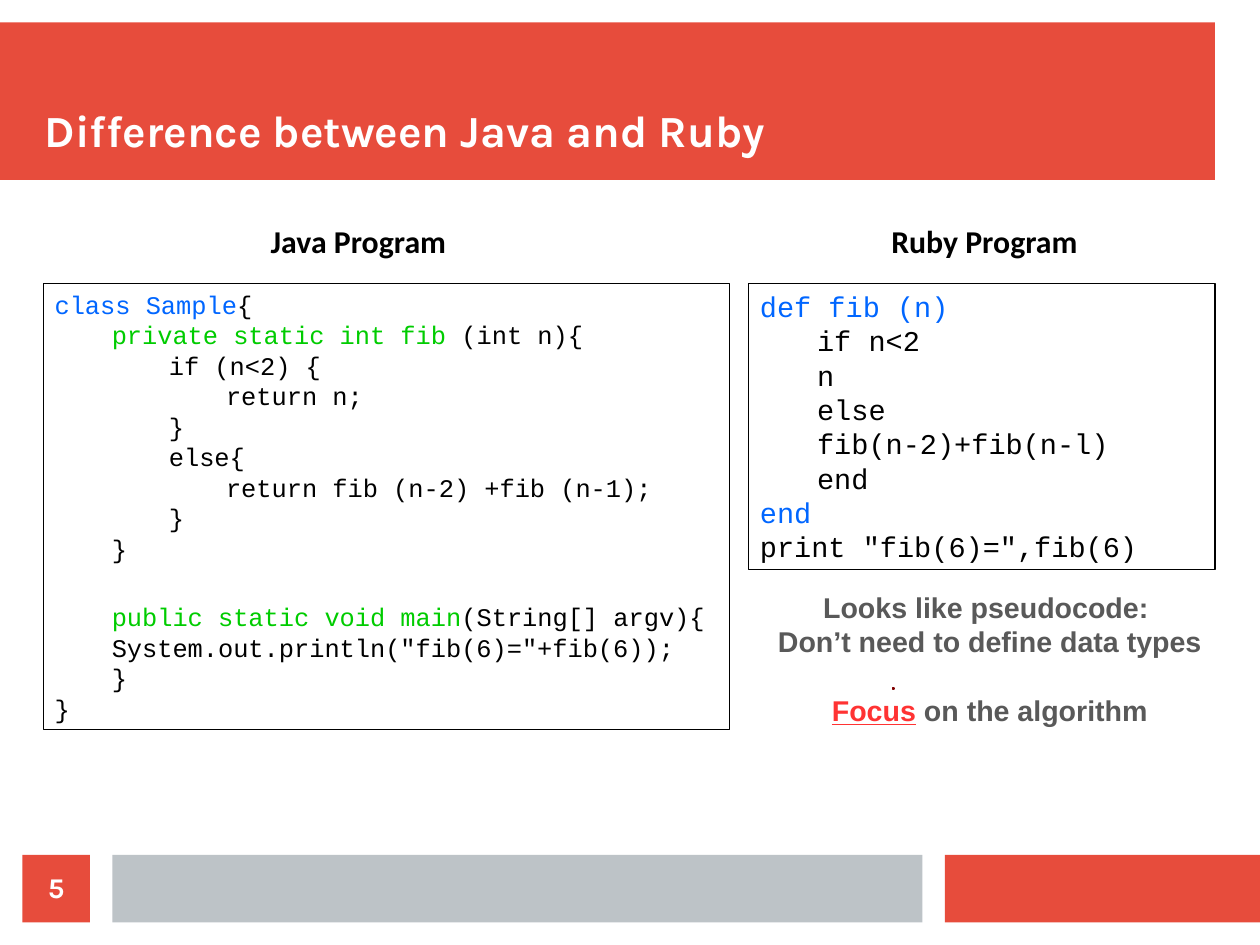
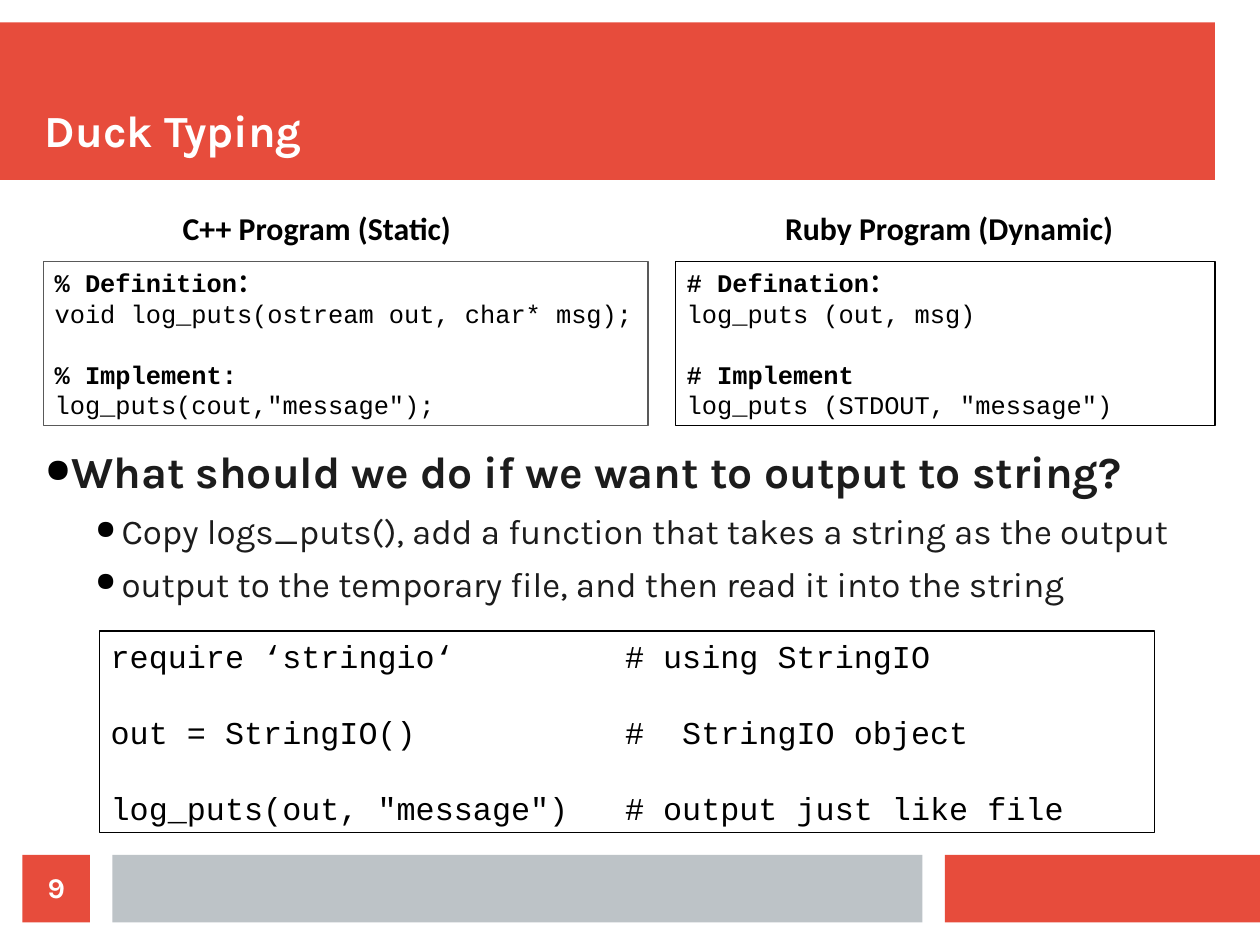
import pptx
import pptx.util
import pptx.dml.color
import pptx.enum.shapes
import pptx.enum.text
from lxml import etree
from pptx.oxml.ns import qn

Pt, Inches = pptx.util.Pt, pptx.util.Inches
ALIGN, ANCHOR = pptx.enum.text.PP_ALIGN, pptx.enum.text.MSO_ANCHOR
RECT = pptx.enum.shapes.MSO_SHAPE.RECTANGLE

THEME = {
    "colors": {"red": "E74C3C", "grey": "BDC3C7", "white": "FFFFFF", "black": "000000",
               "ink": "1C1C1C", "slate": "595959", "blue": "0066FF", "green": "00CC00",
               "accent": "FF3333", "maroon": "800000"},
    "styles": {
        "title": dict(name="Karla", size=28, bold=True, color="white"),
        "page": dict(name="Karla", size=18, bold=True, color="white"),
        "heading": dict(name="Calibri", size=20, bold=True, color="black"),
        "callout": dict(name="Arial", size=18, bold=True, color="slate"),
        "question": dict(name="Karla", size=28, bold=True, color="ink"),
        "answer": dict(name="Karla", size=22, bold=False, color="ink"),
        "code": dict(name="Courier New", bold=False, color="black"),
    },
}
CM = 1 / 2.54  # the slide frame sits on a centimetre grid
W, H = 28 * CM, 21 * CM
MARGIN, RIGHT = 1 * CM, 27 * CM
TAB = 0.5
LEADING = 1.2  # line pitch as a multiple of the type size
PAD_X, PAD_Y = 0.1, 0.05

BLUE, GREEN, BOLD = {"color": "blue"}, {"color": "green"}, {"bold": True}
FOCUS = {"color": "accent", "underline": True}

# A line is (indent level, runs, points of space before); a run is text or (text, changes).
JAVA = [
    (0, [("class Sample", BLUE), "{"], 0),
    (1, [("private static int fib", GREEN), " (int n){"], 0),
    (2, ["if (n<2) {"], 0),
    (3, ["return n;"], 0),
    (2, ["}"], 0),
    (2, ["else{"], 0),
    (3, ["return fib (n-2) +fib (n-1);"], 0),
    (2, ["}"], 0),
    (1, ["}"], 0),
    (1, [("public static void main", GREEN), "(String[] argv){"], 24),
    (1, ['System.out.println("fib(6)="+fib(6));'], 0),
    (1, ["}"], 0),
    (0, ["}"], 0),
]
RUBY = [
    (0, [("def fib (n)", BLUE)], 0),
    (1, ["if n<2"], 0),
    (1, ["n"], 0),
    (1, ["else"], 0),
    (1, ["fib(n-2)+fib(n-l)"], 0),
    (1, ["end"], 0),
    (0, [("end", BLUE)], 0),
    (0, ['print "fib(6)=",fib(6)'], 0),
]
CPP_STATIC = [
    (0, [("% Definition：", BOLD)], 0),
    (0, ["void log_puts(ostream out, char* msg);"], 0),
    (0, [("% Implement:", BOLD)], 19.2),
    (0, ['log_puts(cout,"message");'], 0),
]
RUBY_DYNAMIC = [
    (0, [("# Defination：", BOLD)], 0),
    (0, ["log_puts (out, msg)"], 0),
    (0, [("# Implement", BOLD)], 19.2),
    (0, ['log_puts (STDOUT, "message")'], 0),
]
STRING_IO = [
    (0, ["require ‘stringio‘\t\t\t# using StringIO"], 0),
    (0, ["out = StringIO()\t\t\t\t#  StringIO object"], 24),
    (0, ['log_puts(out, "message") \t# output just like file'], 24),
]
CALLOUT = [
    (0, ["Looks like pseudocode: "], 0),
    (0, ["Don’t need to define data types"], 0),
    (0, [("Focus", FOCUS), " on the algorithm"], 21.6),
]
BULLETS = [
    ("question", 0.23, 0.93, 11.5, "What should we do if we want to output to string?"),
    ("answer", 0.67, 0.83, 11.4,
     "Copy logs_puts(), add a function that takes a string as the output"),
    ("answer", 0.67, 0.83, 11.4,
     "output to the temporary file, and then read it into the string"),
]

SLIDES = [
    {"title": "Difference between Java and Ruby", "page": "5",
     "headings": [("Java Program", 2.27, 1.94, 1.92), ("Ruby Program", 7.7, 1.94, 2.23)],
     "code": [dict(lines=JAVA, x=0.38, y=2.48, w=6, size=16),
              dict(lines=RUBY, x=6.55, y=2.48, w=4.08, size=18)],
     "callout": (6.45, 5.16, 4.42, 1.81), "mark": (7.81, 6.02)},
    {"title": "Duck Typing", "page": "9",
     "headings": [("C++ Program (Static)", 1.5, 1.83, 2.7),
                  ("Ruby Program (Dynamic)", 6.77, 1.83, 3.07)],
     "code": [dict(lines=CPP_STATIC, x=0.38, y=2.29, w=5.29, size=16, border="slate"),
              dict(lines=RUBY_DYNAMIC, x=5.91, y=2.29, w=4.72, size=16),
              dict(lines=STRING_IO, x=0.87, y=5.52, w=9.23, size=20)],
     "bullets": (MARGIN, 3.9, RIGHT - MARGIN, 1.5)},
]


def rgb(color):
    return pptx.dml.color.RGBColor.from_string(THEME["colors"][color])


def setup_frame(sp, insets=(0, 0, 0, 0), anchor=ANCHOR.TOP, wrap=True):
    tf = sp.text_frame
    sides = ("margin_left", "margin_top", "margin_right", "margin_bottom")
    values = dict(zip(sides, map(Inches, insets)), vertical_anchor=anchor, word_wrap=wrap)
    for key, value in values.items():
        setattr(tf, key, value)
    return tf


def add_box(slide, x, y, w, h, fill, border=None):
    sp = slide.shapes.add_shape(RECT, *map(Inches, (x, y, w, h)))
    sp.shadow.inherit = False
    sp.fill.solid()
    sp.fill.fore_color.rgb = rgb(fill)
    if border:
        sp.line.color.rgb = rgb(border)
        sp.line.width = Pt(0.75)
    else:
        sp.line.fill.background()
    return sp


def add_text(slide, x, y, w, h):
    return slide.shapes.add_textbox(*map(Inches, (x, y, w, h)))


def add_paragraph(tf, runs, style, **layout):
    """Fill the frame's empty first paragraph, or append one."""
    p = tf.paragraphs[0] if not tf.paragraphs[0].runs else tf.add_paragraph()
    for key, value in {"alignment": ALIGN.LEFT, **layout}.items():
        setattr(p, key, value)
    for run in runs:
        text, changes = (run, {}) if isinstance(run, str) else run
        r = p.add_run()
        r.text = text
        values = {**style, **changes}
        r.font.color.rgb = rgb(values.pop("color"))
        values["size"] = Pt(values["size"])
        for key, value in values.items():
            setattr(r.font, key, value)
    return p


def set_indent(p, left, first=0.0, bullet=None):
    pPr = p._p.get_or_add_pPr()
    pPr.set("marL", str(Inches(left)))
    pPr.set("indent", str(Inches(first)))
    if bullet:
        color = etree.SubElement(pPr, qn("a:buClr"))
        etree.SubElement(color, qn("a:srgbClr"), val=THEME["colors"]["black"])
        etree.SubElement(pPr, qn("a:buSzPct"), val="75000")
        etree.SubElement(pPr, qn("a:buChar"), char=bullet)


def add_lines(tf, lines, style, alignment=ALIGN.LEFT):
    for level, runs, gap in lines:
        p = add_paragraph(tf, runs, style, alignment=alignment, space_before=Pt(gap),
                          line_spacing=Pt(style["size"] * LEADING))
        set_indent(p, level * TAB)


def add_code(slide, lines, x, y, w, size, border="black"):
    """Draw a code box whose height follows from its lines."""
    points = sum(size * LEADING + gap for _, _, gap in lines)
    sp = add_box(slide, x, y, w, points / 72 + 2 * PAD_Y, "white", border)
    tf = setup_frame(sp, (PAD_X, PAD_Y, PAD_X, PAD_Y))
    add_lines(tf, lines, {**THEME["styles"]["code"], "size": size})


def add_mark(slide, x, y, side=0.01):
    fb = slide.shapes.build_freeform(Inches(x), Inches(y))
    corners = [(x + side, y), (x + side, y + side), (x, y + side)]
    fb.add_line_segments([tuple(map(Inches, c)) for c in corners], close=True)
    sp = fb.convert_to_shape()
    sp.shadow.inherit = False
    sp.fill.background()
    sp.line.color.rgb = rgb("maroon")
    sp.line.width = Pt(1)


def add_frame(slide, title, page):
    """Draw the title band, the footer blocks, the page number and the title."""
    styles = THEME["styles"]
    foot, unit = 19 * CM, 1.5 * CM
    add_box(slide, 0, 0.5 * CM, RIGHT, 3.5 * CM, "red")
    add_box(slide, W * 0.75, foot, W * 0.25, unit, "red")
    add_box(slide, 2.5 * CM, foot, 18 * CM, unit, "grey")
    number = add_box(slide, 0.5 * CM, foot, unit, unit, "red")
    add_paragraph(setup_frame(number, anchor=ANCHOR.MIDDLE), [page], styles["page"],
                  alignment=ALIGN.CENTER, line_spacing=0.93)
    sp = add_text(slide, MARGIN, MARGIN, RIGHT - MARGIN, 2.5 * CM)
    add_paragraph(setup_frame(sp, (0, 0.03, 0, 0), ANCHOR.BOTTOM), [title],
                  styles["title"], line_spacing=0.93)


def build_slide(prs, content):
    styles = THEME["styles"]
    slide = prs.slides.add_slide(prs.slide_layouts[6])
    add_frame(slide, content["title"], content["page"])
    for text, x, y, w in content["headings"]:
        tf = setup_frame(add_text(slide, x, y, w, 0.31), (PAD_X, 0, PAD_X, 0), wrap=False)
        add_paragraph(tf, [text], styles["heading"])
    if "callout" in content:
        tf = setup_frame(add_text(slide, *content["callout"]), (PAD_X, 0, PAD_X, 0))
        add_lines(tf, CALLOUT, styles["callout"], ALIGN.CENTER)
    if "mark" in content:
        add_mark(slide, *content["mark"])
    if "bullets" in content:
        tf = setup_frame(add_text(slide, *content["bullets"]), (0, 0.03, 0, 0))
        for style, left, spacing, after, text in BULLETS:
            p = add_paragraph(tf, [text], styles[style], line_spacing=spacing,
                              space_after=Pt(after))
            set_indent(p, left, -0.23, bullet="●")
    for code in content["code"]:
        add_code(slide, **code)


def main():
    prs = pptx.Presentation()
    prs.slide_width, prs.slide_height = Inches(W), Inches(H)
    for content in SLIDES:
        build_slide(prs, content)
    prs.save("out.pptx")


if __name__ == "__main__":
    main()
